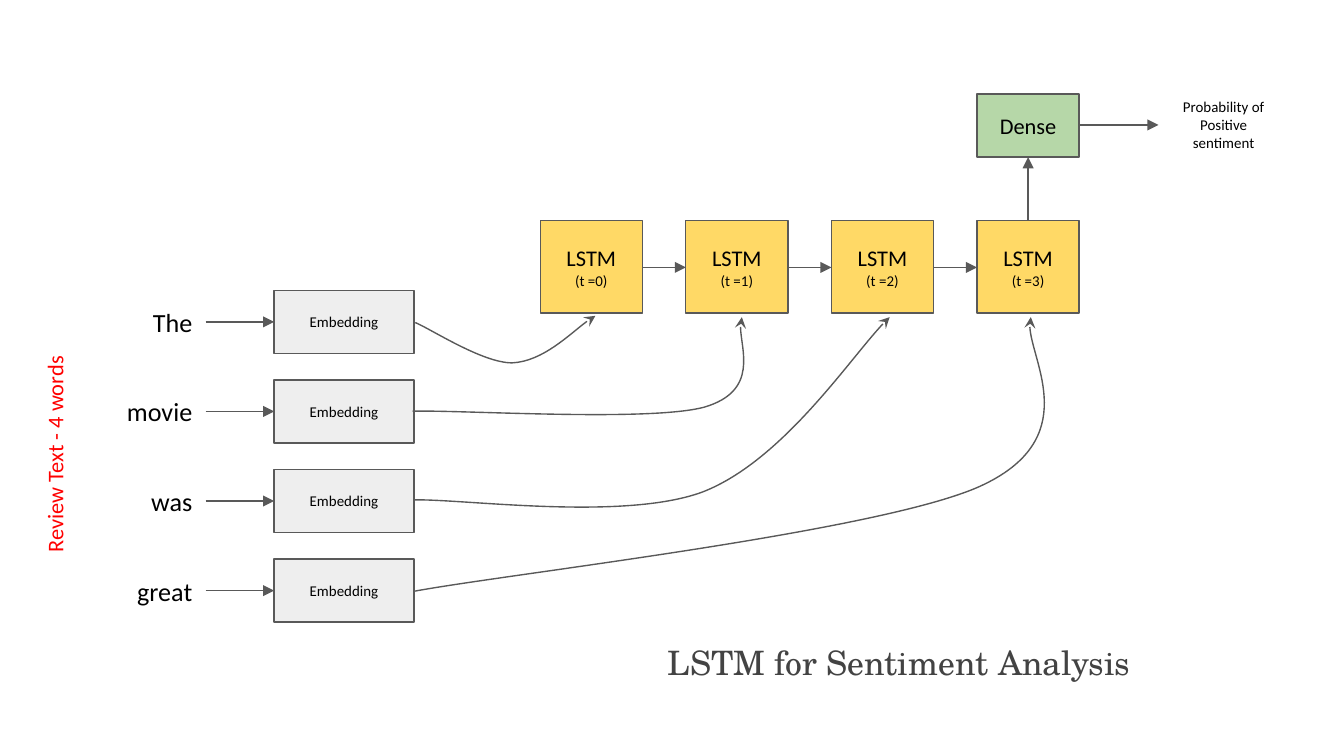
from lxml import etree
from pptx import Presentation
from pptx.dml.color import RGBColor
from pptx.enum.shapes import MSO_CONNECTOR, MSO_SHAPE
from pptx.enum.text import MSO_ANCHOR, PP_ALIGN
from pptx.oxml.ns import qn
from pptx.util import Inches, Pt

SLIDE_WIDTH = 10
SLIDE_HEIGHT = SLIDE_WIDTH * 9 / 16
LINE_COLOR = "595959"
ROW_PITCH = 2 / 3
CELL_PITCH = 3.25 / 3
CELL_WIDTH = 0.76

WORDS = ["The", "movie", "was", "great"]
# Each curve: start point, then control, control, end for every Bezier segment
INPUT_CURVES = [
    [(3.09, 2.4), (3.21, 2.45), (3.59, 2.7), (3.81, 2.7),
     (4.04, 2.69), (4.33, 2.4), (4.43, 2.35)],
    [(3.07, 3.06), (3.43, 3.05), (4.83, 3.14), (5.24, 3.03),
     (5.65, 2.91), (5.47, 2.47), (5.52, 2.36)],
    [(3.08, 3.72), (3.44, 3.71), (4.64, 3.88), (5.23, 3.66),
     (5.82, 3.43), (6.39, 2.57), (6.62, 2.36)],
    [(3.08, 4.4), (3.78, 4.27), (6.53, 3.96), (7.29, 3.62),
     (8.06, 3.27), (7.6, 2.57), (7.67, 2.36)],
]


def color(hex_string):
    return RGBColor.from_string(hex_string)


def write_text(shape, lines, font="Calibri", fill="000000",
               align=PP_ALIGN.CENTER, anchor=MSO_ANCHOR.MIDDLE):
    """Fill a shape with paragraphs given as (text, size) pairs."""
    frame = shape.text_frame
    frame.word_wrap = True
    frame.vertical_anchor = anchor
    frame.margin_left = frame.margin_right = Inches(0.1)
    frame.margin_top = frame.margin_bottom = Inches(0.1)
    for index, (text, size) in enumerate(lines):
        paragraph = frame.paragraphs[0] if index == 0 else frame.add_paragraph()
        paragraph.alignment = align
        run = paragraph.add_run()
        run.text = text
        run.font.name = font
        run.font.size = Pt(size)
        run.font.color.rgb = color(fill)


def add_label(slide, box, text, size, **text_format):
    label = slide.shapes.add_textbox(*map(Inches, box))
    write_text(label, [(text, size)], **text_format)
    return label


def add_block(slide, box, fill, lines):
    block = slide.shapes.add_shape(MSO_SHAPE.RECTANGLE, *map(Inches, box))
    block.shadow.inherit = False
    block.fill.solid()
    block.fill.fore_color.rgb = color(fill)
    block.line.color.rgb = color(LINE_COLOR)
    block.line.width = Pt(0.75)
    write_text(block, lines)


def style_arrow(shape, head):
    shape.line.color.rgb = color(LINE_COLOR)
    shape.line.width = Pt(0.75)
    properties = shape._element.spPr
    etree.SubElement(properties.find(qn("a:ln")), qn("a:tailEnd"), type=head)
    etree.SubElement(properties, qn("a:effectLst"))


def add_arrow(slide, start, end):
    arrow = slide.shapes.add_connector(
        MSO_CONNECTOR.STRAIGHT, *map(Inches, (*start, *end)))
    style_arrow(arrow, "triangle")


def add_curve(slide, points):
    """Draw a Bezier curve: each three line segments become one cubic."""
    start, *others = [(Inches(x), Inches(y)) for x, y in points]
    builder = slide.shapes.build_freeform(*start)
    builder.add_line_segments(others, close=False)
    curve = builder.convert_to_shape()
    curve.fill.background()
    segments = list(curve._element.iter(qn("a:lnTo")))
    outline = segments[0].getparent()
    for first in range(0, len(segments), 3):
        cubic = etree.SubElement(outline, qn("a:cubicBezTo"))
        for segment in segments[first:first + 3]:
            cubic.append(segment[0])
            outline.remove(segment)
    style_arrow(curve, "stealth")


def add_word_row(slide, left, top, word):
    """Word, arrow and embedding block, from the row's top left corner."""
    middle = top + 0.235
    block_left = left + 1.27
    add_label(slide, (left, top + 0.05, 0.76, 0.37), word, 14,
              align=PP_ALIGN.RIGHT)
    add_arrow(slide, (left + 0.76, middle), (block_left, middle))
    add_block(slide, (block_left, top, 1.04, 0.47), "EEEEEE", [("Embedding", 8)])


def add_lstm_chain(slide, left, top, count):
    for step in range(count):
        cell_left = left + step * CELL_PITCH
        add_block(slide, (cell_left, top, CELL_WIDTH, 0.69), "FFD966",
                  [("LSTM", 12), (f"(t ={step})", 8)])
        if step:
            add_arrow(slide, (cell_left - CELL_PITCH + CELL_WIDTH, top + 0.35),
                      (cell_left, top + 0.35))


def add_output(slide, left, top):
    """Dense block with the arrow into it and the predicted probability."""
    center = left + CELL_WIDTH / 2
    right = left + CELL_WIDTH
    middle = top + 0.23
    add_block(slide, (left, top, CELL_WIDTH, 0.47), "B6D7A8", [("Dense", 12)])
    add_arrow(slide, (center, top + 0.94), (center, top + 0.47))
    add_arrow(slide, (right, middle), (right + 0.59, middle))
    add_label(slide, (right + 0.59, top + 0.04, 0.97, 0.37),
              "Probability of Positive sentiment", 8)


def main():
    presentation = Presentation()
    presentation.slide_width = Inches(SLIDE_WIDTH)
    presentation.slide_height = Inches(SLIDE_HEIGHT)
    slide = presentation.slides.add_slide(presentation.slide_layouts[6])

    for row, word in enumerate(WORDS):
        add_word_row(slide, 0.77, 2.16 + row * ROW_PITCH, word)
    add_lstm_chain(slide, 4.02, 1.64, len(WORDS))
    for points in INPUT_CURVES:
        add_curve(slide, points)
    add_output(slide, 7.27, 0.7)

    add_label(slide, (4.77, 4.54, 3.84, 0.77), "LSTM for Sentiment Analysis", 18,
              font="TeX Gyre Schola", fill="434343")
    side_label = add_label(slide, (-0.64, 3.17, 2.11, 0.42),
                           "Review Text - 4 words", 12,
                           fill="FF0000", anchor=MSO_ANCHOR.TOP)
    side_label.rotation = 270

    presentation.save("out.pptx")


if __name__ == "__main__":
    main()
